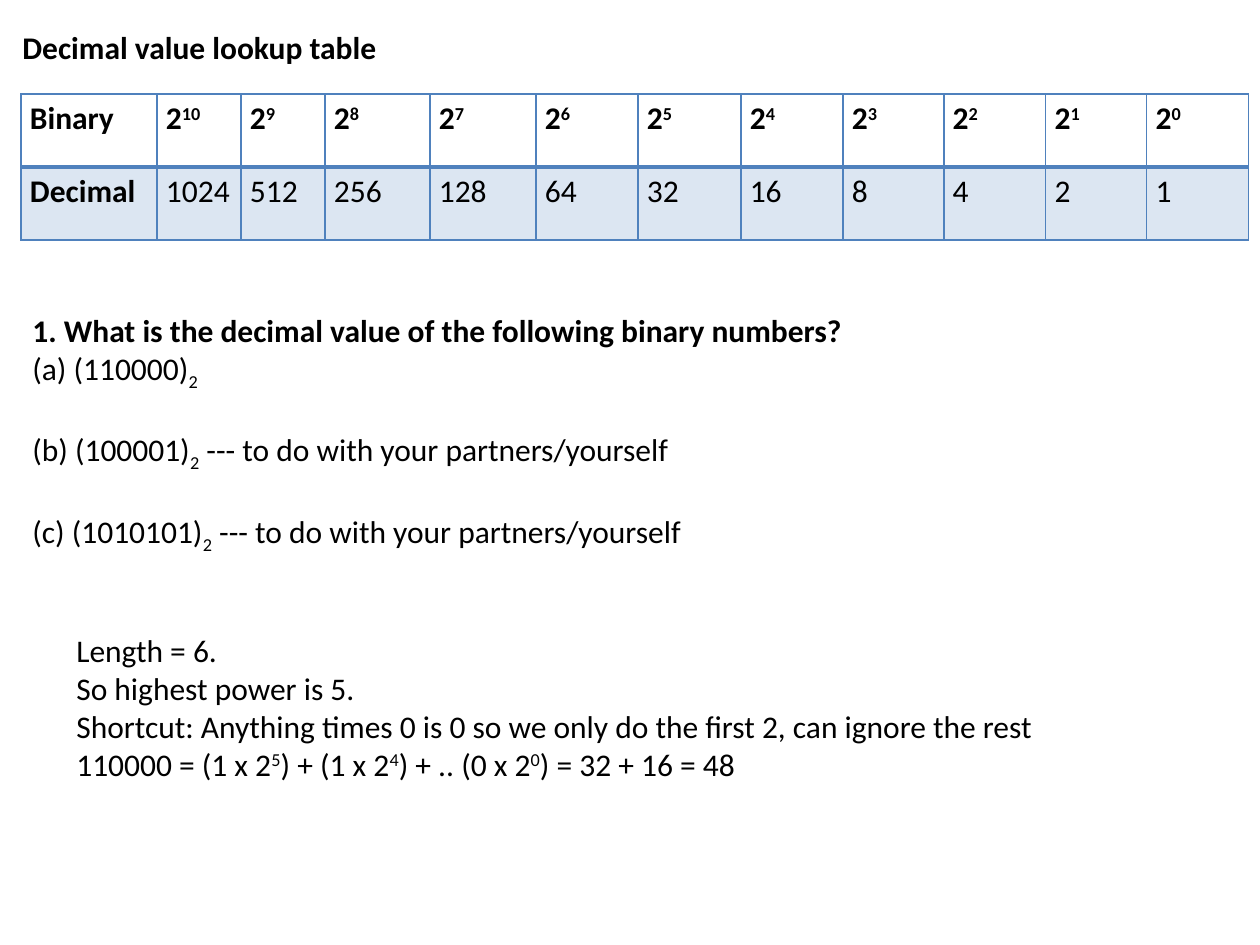
from lxml import etree
from pptx import Presentation
from pptx.dml.color import RGBColor
from pptx.enum.text import MSO_AUTO_SIZE, PP_ALIGN
from pptx.oxml.ns import qn
from pptx.util import Pt

PX = 914400 // 126
FONT = "Calibri"
SIZE = Pt(18)
BLACK = RGBColor(0, 0, 0)
BLUE = RGBColor(0x4F, 0x81, 0xBD)
PALE = RGBColor(0xDC, 0xE6, 0xF2)
GROW = MSO_AUTO_SIZE.SHAPE_TO_FIT_TEXT
JUST = PP_ALIGN.JUSTIFY
SHIFTS = {"^": "30000", "_": "-25000"}

WIDTHS = [136, 84, 84, 105, 106, 102, 103, 102, 101, 102, 101, 102]
POWERS = range(10, -1, -1)
ROWS = [
    ["Binary"] + [f"2|^{power}" for power in POWERS],
    ["Decimal"] + [str(2 ** power) for power in POWERS],
]
ASK = " --- to do with your partners/yourself"
TASKS = [
    "1. What is the decimal value of the following binary numbers?",
    "(a) (110000)|_2",
    f"(b) (100001)|_2|{ASK}",
    f"(c) (1010101)|_2|{ASK}",
]
STEPS = [
    "Length = 6.",
    "So highest power is 5.",
    "Shortcut: Anything times 0 is 0 so we only do the first 2, can ignore the rest",
    "110000 = (1 x 2|^5|) + (1 x 2|^4|) + .. (0 x 2|^0|) = 32 + 16 = 48",
]


class Page:
    def __init__(self, deck):
        self.slide = deck.slides.add_slide(deck.slide_layouts[6])

    def line(self, para, text, bold=False):
        for part in text.split("|"):
            shift = SHIFTS.get(part[0])
            run = para.add_run()
            run.text = part[1:] if shift else part
            if shift:
                run._r.get_or_add_rPr().set("baseline", shift)
        font = para.font
        font.name, font.size, font.bold = FONT, SIZE, bold
        font.color.rgb = BLACK

    def text(self, box, lines, bold=False, gaps=()):
        frame = self.slide.shapes.add_textbox(*[n * PX for n in box]).text_frame
        frame.word_wrap = True
        frame.auto_size = GROW
        for i, text in enumerate(lines):
            para = frame.add_paragraph() if i else frame.paragraphs[0]
            if i in gaps:
                para.space_before = Pt(22)
            self.line(para, text, bold and i == 0)

    def border(self, cell, top, bottom):
        props = cell._tc.get_or_add_tcPr()
        sides = {"lnL": 1, "lnR": 1, "lnT": top, "lnB": bottom}
        for i, (side, width) in enumerate(sides.items()):
            edge = etree.Element(qn(f"a:{side}"), w=str(int(Pt(width))))
            fill = etree.SubElement(edge, qn("a:solidFill"))
            etree.SubElement(fill, qn("a:srgbClr"), val=str(BLUE))
            props.insert(i, edge)

    def table(self, left, top, widths, height, rows):
        box = (left, top, sum(widths), height * len(rows))
        grid = self.slide.shapes.add_table(
            len(rows), len(widths), *[n * PX for n in box]).table
        grid.first_row = grid.horz_banding = False
        for col, width in zip(grid.columns, widths):
            col.width = width * PX
        for r, row in enumerate(rows):
            grid.rows[r].height = height * PX
            for c, value in enumerate(row):
                cell = grid.cell(r, c)
                cell.margin_left = cell.margin_right = 9 * PX
                cell.margin_top = cell.margin_bottom = 0
                para = cell.text_frame.paragraphs[0]
                para.alignment = JUST
                para.line_spacing = 1.15
                self.line(para, value, r == 0 or c == 0)
                if r:
                    cell.fill.solid()
                    cell.fill.fore_color.rgb = PALE
                    self.border(cell, 2, 1)
                else:
                    cell.fill.background()
                    self.border(cell, 1, 2)


def main():
    deck = Presentation()
    deck.slide_width, deck.slide_height = 1260 * PX, 945 * PX
    page = Page(deck)
    page.text((10, 22, 1187, 50), ["Decimal value lookup table"], bold=True)
    page.table(21, 94, WIDTHS, 73, ROWS)
    page.text((20, 305, 1094, 280), TASKS, bold=True, gaps=(2, 3))
    page.text((64, 625, 1060, 204), STEPS)
    deck.save("out.pptx")


if __name__ == "__main__":
    main()
